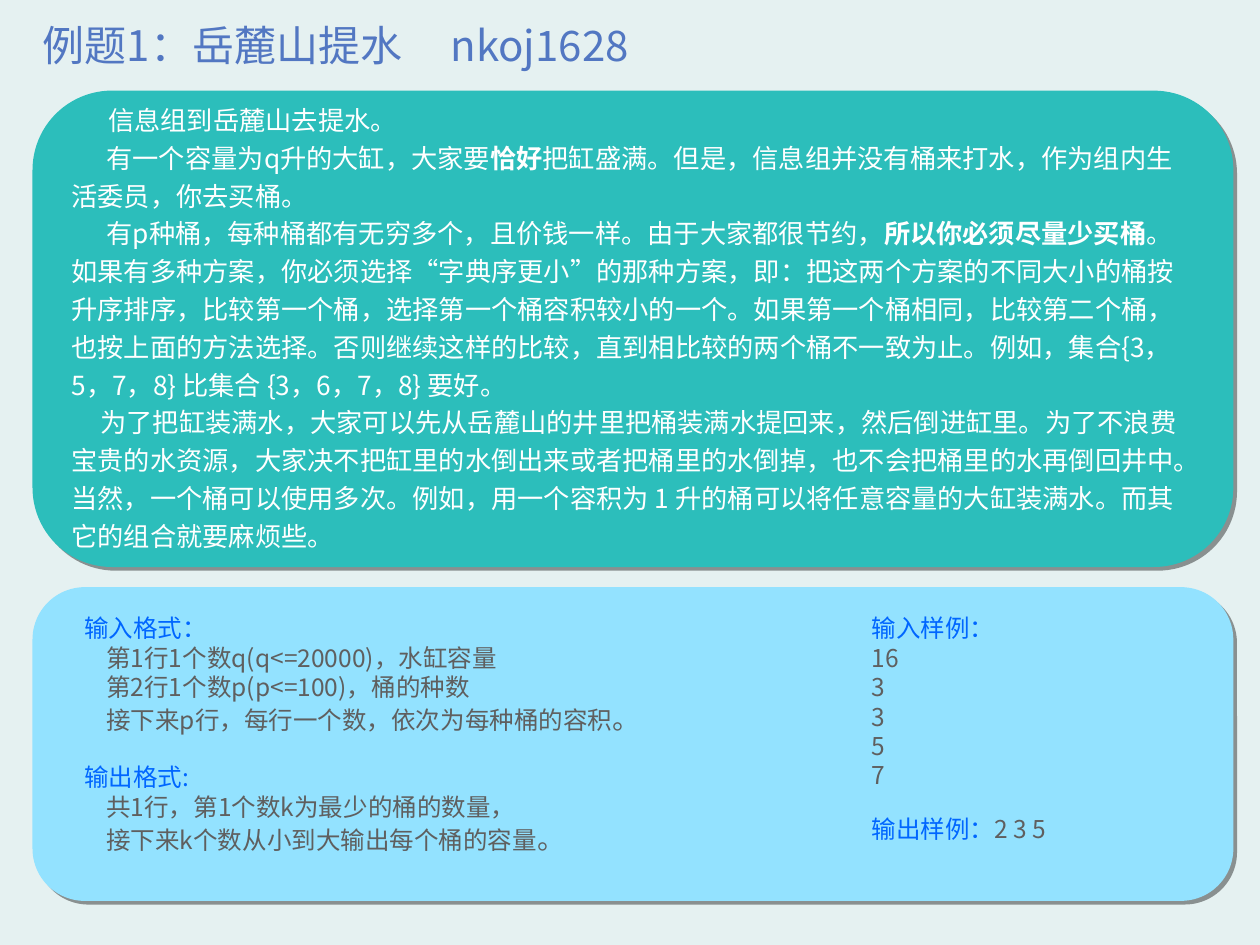
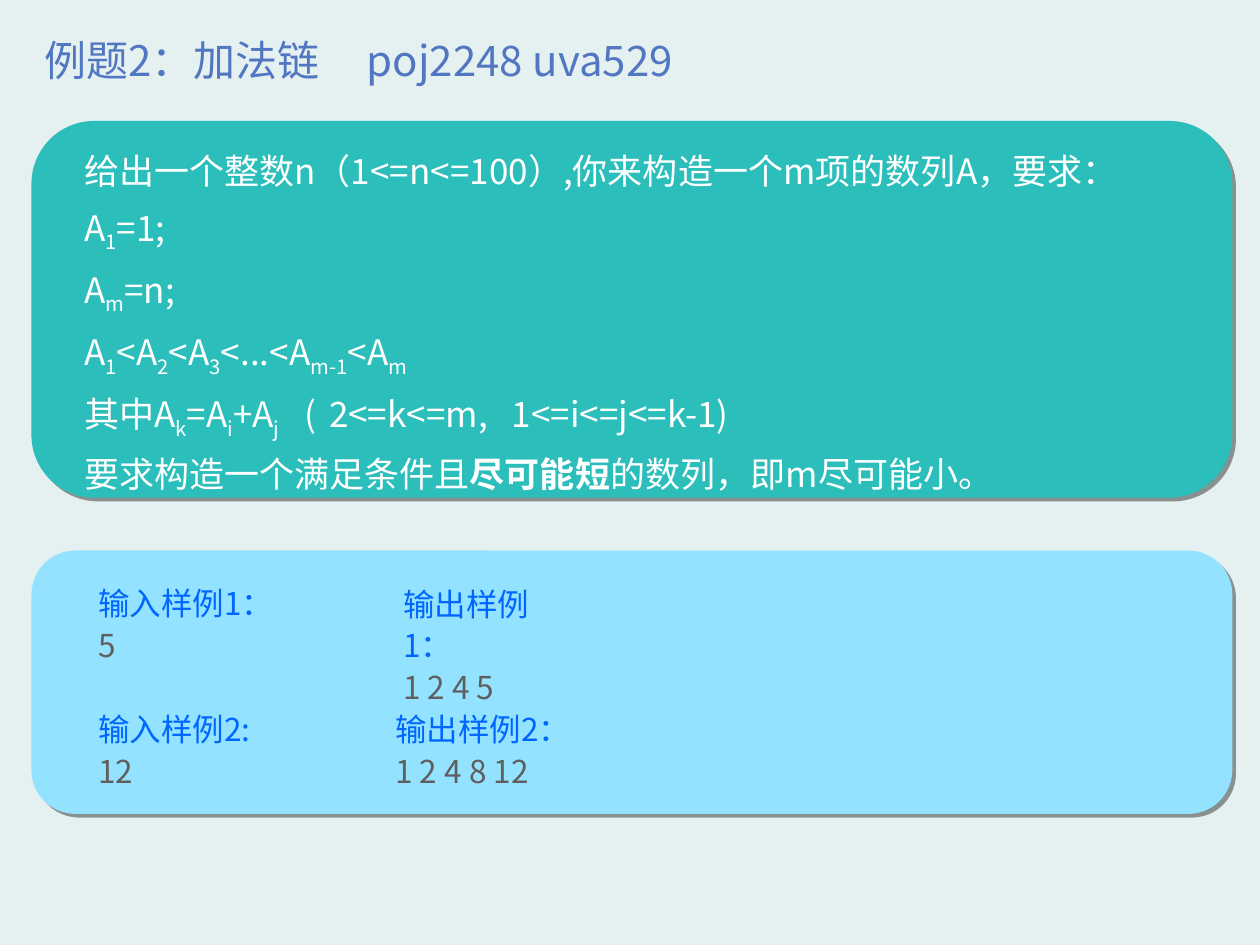
import pptx
import pptx.util
import pptx.dml.color
import pptx.enum.shapes
import pptx.enum.text
import pptx.oxml
import pptx.oxml.ns

Pt = pptx.util.Pt
FONT = "Noto Sans CJK SC"
COLORS = {
    "background": "E5F1F1", "title": "5277C2", "teal": "2CBEBB", "sky": "93E2FF",
    "light": "FFFFFF", "label": "0066FF", "body": "5F5F5F", "shadow": "000000",
}
TITLE_SIZE = (621, 66.2)
PANEL_WIDTH = 686.2

# Span styles: font values, laid over the size and colour of the line
STYLES = {"plain": {}, "bold": {"bold": True}, "sub": {}, "stop": {"size": Pt(16)}}
SUBSCRIPT = "-25000"


def line(*spans, color="light", indent=0, tabs=()):
    """One paragraph; a span is a plain string or a (text, style) pair."""
    pairs = [(span, "plain") if isinstance(span, str) else span for span in spans]
    return {"spans": pairs, "color": color, "indent": indent, "tabs": tabs}


def labelled(label, *rows, indent=0):
    """A blue label line followed by grey body lines."""
    body = [line(*([row] if isinstance(row, str) else row), color="body", indent=indent)
            for row in rows]
    return [line(label, color="label")] + body


FULL_STOP = ("。", "stop")

STORY = [
    line("信息组到岳麓山去提水。", indent=21),
    line("有一个容量为q升的大缸，大家要", ("恰好", "bold"),
         "把缸盛满。但是，信息组并没有桶来打水，作为组内生活委员，你去买桶。", indent=20),
    line("有p种桶，每种桶都有无穷多个，且价钱一样。由于大家都很节约，",
         ("所以你必须尽量少买桶", "bold"),
         "。如果有多种方案，你必须选择“字典序更小”的那种方案，即：把这两个方案的不同大小的桶按"
         "升序排序，比较第一个桶，选择第一个桶容积较小的一个。如果第一个桶相同，比较第二个桶，"
         "也按上面的方法选择。否则继续这样的比较，直到相比较的两个桶不一致为止。"
         "例如，集合{3，5，7，8} 比集合 {3，6，7，8} 要好。", indent=20),
    line("为了把缸装满水，大家可以先从岳麓山的井里把桶装满水提回来，然后倒进缸里。"
         "为了不浪费宝贵的水资源，大家决不把缸里的水倒出来或者把桶里的水倒掉，"
         "也不会把桶里的水再倒回井中。当然，一个桶可以使用多次。例如，用一个容积为 1 "
         "升的桶可以将任意容量的大缸装满水。而其它的组合就要麻烦些。", indent=16.5),
]

CHAIN = [
    line("给出一个整数n（1<=n<=100）,你来构造一个m项的数列A，要求："),
    line("A", ("1", "sub"), "=1;"),
    line("A", ("m", "sub"), "=n;"),
    line("A", ("1", "sub"), "<A", ("2", "sub"), "<A", ("3", "sub"),
         "<...<A", ("m-1", "sub"), "<A", ("m", "sub")),
    line("其中A", ("k", "sub"), "=A", ("i", "sub"), "+A", ("j", "sub"),
         "\t(\t2<=k<=m,\t1<=i<=j<=k-1)", tabs=(126, 140, 244.5)),
    line("要求构造一个满足条件且", ("尽可能短", "bold"), "的数列，即m尽可能小。"),
]

# Places are left, top, width, height; panels are top, height, colour
PAGES = [
    {
        "title": "例题1：岳麓山提水\tnkoj1628", "title_tab": 233, "title_at": (17.3, -5.8),
        "panel_left": 18.6, "panels": [(51.8, 272.2, "teal"), (335.5, 179.3, "sky")],
        "boxes": [
            {"place": (33.8, 52.5, 655.2, 268), "size": 15, "spacing": 1.2, "lines": STORY},
            {"place": (41, 347, 380, 77), "size": 14, "lines": labelled(
                "输入格式：", "第1行1个数q(q<=20000)，水缸容量", "第2行1个数p(p<=100)，桶的种数",
                ("接下来p行，每行一个数，依次为每种桶的容积", FULL_STOP), indent=12.6)},
            {"place": (41, 432, 359, 60), "size": 14, "lines": labelled(
                "输出格式:", "共1行，第1个数k为最少的桶的数量，",
                ("接下来k个数从小到大输出每个桶的容量", FULL_STOP), indent=12.6)},
            {"place": (491, 347, 99.4, 108), "size": 14,
             "lines": labelled("输入样例：", "16", "3", "3", "5", "7")},
            {"place": (491, 461.5, 117.4, 24.5), "size": 14, "wrap": False,
             "lines": [line("输出样例：", ("2 3 5", "body"), color="label")]},
        ],
    },
    {
        "title": "例题2：加法链\tpoj2248 uva529", "title_tab": 184.5, "title_at": (18, 2.9),
        "panel_left": 18, "panels": [(69.1, 215.3, "teal"), (314.6, 150.5, "sky")],
        "boxes": [
            {"place": (41, 74.9, 655.2, 211.7), "size": 20, "spacing": 1.3, "lines": CHAIN},
            {"place": (49, 328.3, 380, 54.7), "size": 18, "spacing": 1.1,
             "lines": labelled("输入样例1：", "5")},
            {"place": (49, 400.3, 359, 54.7), "size": 18, "spacing": 1.1,
             "lines": labelled("输入样例2:", "12")},
            {"place": (223.2, 328.3, 99.4, 78.5), "size": 18, "spacing": 1.1,
             "lines": labelled("输出样例1：", "1 2 4 5")},
            {"place": (218.9, 400.3, 123.1, 54.7), "size": 18, "spacing": 1.1, "wrap": False,
             "lines": labelled("输出样例2：", "1 2 4 8 12")},
        ],
    },
]


def rgb(name):
    return pptx.dml.color.RGBColor.from_string(COLORS[name])


def add_xml(parent, markup):
    """Append one drawing element given as markup without its namespace."""
    head, rest = markup.split(" ", 1) if " " in markup.split(">")[0] else markup.split(">", 1)
    joint = " " if " " in markup.split(">")[0] else ">"
    parent.append(pptx.oxml.parse_xml(
        f"{head} {pptx.oxml.ns.nsdecls('a')}{joint}{rest}"))


def set_tabs(para, stops):
    if stops:
        marks = "".join(f'<a:tab pos="{Pt(stop)}" algn="l"/>' for stop in stops)
        add_xml(para._p.get_or_add_pPr(), f"<a:tabLst>{marks}</a:tabLst>")


def add_span(para, text, size, color, style="plain"):
    span = para.add_run()
    span.text = text
    values = {"size": Pt(size), "bold": False, "name": FONT, **STYLES.get(style, {})}
    span.font.color.rgb = rgb(style if style in COLORS else color)
    for name, value in values.items():
        setattr(span.font, name, value)
    properties = span._r.get_or_add_rPr()
    add_xml(properties, f'<a:ea typeface="{FONT}"/>')
    if style == "sub":
        properties.set("baseline", SUBSCRIPT)


def add_title(page, content):
    title = page.shapes.title
    places = zip(("left", "top", "width", "height"), content["title_at"] + TITLE_SIZE)
    for name, value in places:
        setattr(title, name, Pt(value))
    title.text_frame.vertical_anchor = pptx.enum.text.MSO_ANCHOR.MIDDLE
    para = title.text_frame.paragraphs[0]
    set_tabs(para, [content["title_tab"]])
    para.alignment = pptx.enum.text.PP_ALIGN.LEFT
    para.line_spacing = 0.9
    add_span(para, content["title"], 24, "title")


def add_panel(page, left, top, height, color):
    panel = page.shapes.add_shape(
        pptx.enum.shapes.MSO_SHAPE.FLOWCHART_ALTERNATE_PROCESS,
        Pt(left), Pt(top), Pt(PANEL_WIDTH), Pt(height))
    panel.fill.solid()
    panel.fill.fore_color.rgb = rgb(color)
    panel.line.fill.background()
    # Hard shadow, 3 pt towards the lower right
    panel.shadow.inherit = False
    effects = panel._element.spPr.find(pptx.oxml.ns.qn("a:effectLst"))
    add_xml(effects, f'<a:outerShdw blurRad="0" dist="{Pt(3)}" dir="2700000" algn="tl" '
                     f'rotWithShape="0"><a:srgbClr val="{COLORS["shadow"]}">'
                     '<a:alpha val="40000"/></a:srgbClr></a:outerShdw>')


def add_text(page, place, size, lines, spacing=1.0, wrap=True):
    frame = page.shapes.add_textbox(*map(Pt, place)).text_frame
    frame.word_wrap = wrap
    frame.auto_size = pptx.enum.text.MSO_AUTO_SIZE.SHAPE_TO_FIT_TEXT
    for index, content in enumerate(lines):
        para = frame.add_paragraph() if index else frame.paragraphs[0]
        set_tabs(para, content["tabs"])
        para.line_spacing = spacing
        if content["indent"]:
            properties = para._p.get_or_add_pPr()
            properties.set("marL", "0")
            properties.set("indent", str(Pt(content["indent"])))
        for text, style in content["spans"]:
            add_span(para, text, size, content["color"], style)


def main():
    deck = pptx.Presentation()
    deck.slide_width, deck.slide_height = Pt(720), Pt(540)
    background = deck.slide_master.background.fill
    background.solid()
    background.fore_color.rgb = rgb("background")
    title_only = deck.slide_layouts[5]
    for content in PAGES:
        page = deck.slides.add_slide(title_only)
        add_title(page, content)
        for top, height, color in content["panels"]:
            add_panel(page, content["panel_left"], top, height, color)
        for box in content["boxes"]:
            add_text(page, **box)
    deck.save("out.pptx")


if __name__ == "__main__":
    main()
